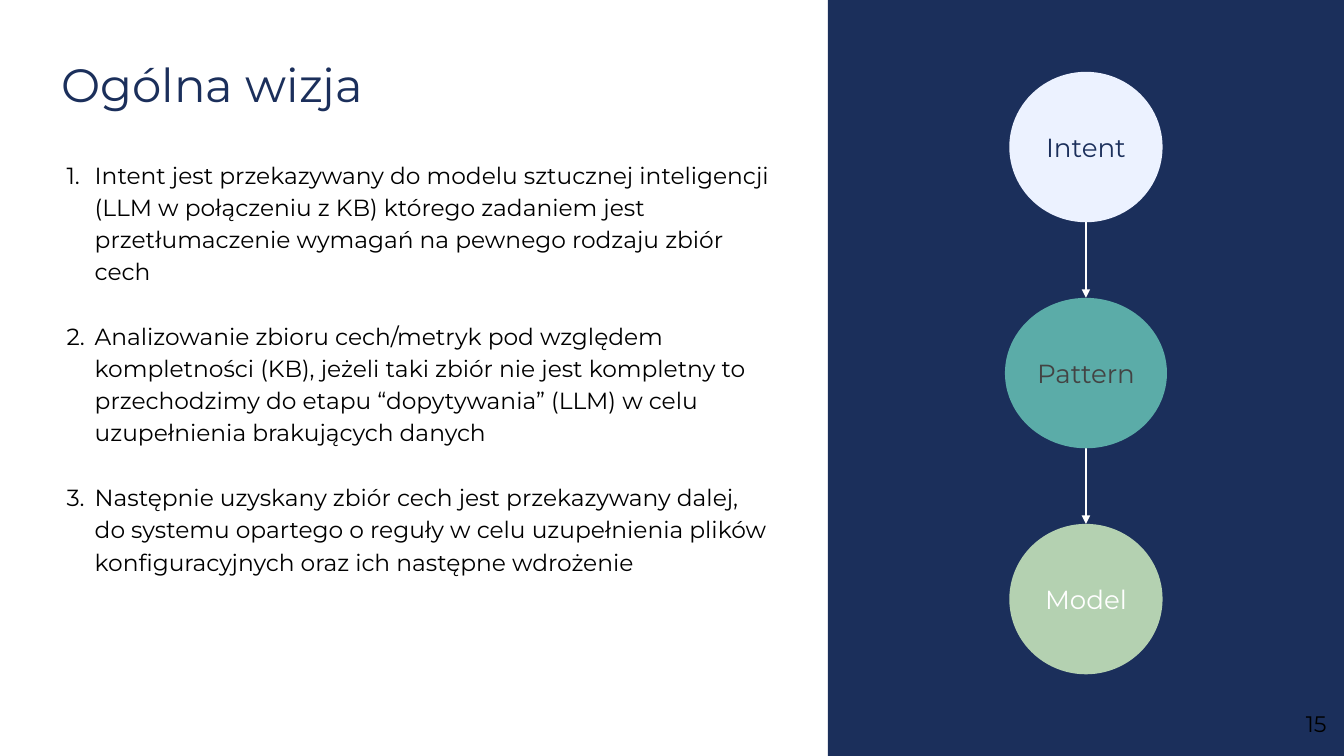
from itertools import pairwise

from lxml import etree
from pptx import Presentation
from pptx.dml.color import RGBColor
from pptx.enum import shapes, text
from pptx.oxml.ns import qn
from pptx.util import Inches, Pt

WIDTH, HEIGHT = 20, 11.25
FONT = "Montserrat"
COLORS = {
    "navy": "1B2F5B", "ice": "ECF2FF", "teal": "5BACA8", "sage": "B4D1B1",
    "white": "FFFFFF", "grey": "434343", "black": "000000",
}
STEPS = [
    "Intent jest przekazywany do modelu sztucznej inteligencji (LLM w połączeniu z KB) "
    "którego zadaniem jest przetłumaczenie wymagań na pewnego rodzaju zbiór cech",
    "Analizowanie zbioru cech/metryk pod względem kompletności (KB), jeżeli taki zbiór "
    "nie jest kompletny to przechodzimy do etapu “dopytywania” (LLM) w celu "
    "uzupełnienia brakujących danych",
    "Następnie uzyskany zbiór cech jest przekazywany dalej, do systemu opartego o reguły "
    "w celu uzupełnienia plików konfiguracyjnych oraz ich następne wdrożenie",
]
# Label, fill, text colour, width as a share of the panel
STAGES = [
    ("Intent", "ice", "navy", 0.297),
    ("Pattern", "teal", "grey", 0.314),
    ("Model", "sage", "white", 0.297),
]


def rgb(name):
    return RGBColor.from_string(COLORS[name])


def inches(*lengths):
    return [Inches(length) for length in lengths]


def style(paragraph, size, color, align=text.PP_ALIGN.LEFT, spacing=1.0):
    paragraph.alignment = align
    paragraph.line_spacing = spacing
    font = paragraph.font
    font.name, font.size = FONT, Pt(size)
    font.color.rgb = rgb(color)


def set_margins(frame, margin):
    frame.word_wrap = True
    frame.margin_left = frame.margin_right = Inches(margin)
    frame.margin_top = frame.margin_bottom = Inches(margin)


def add_text_frame(slide, box, margin=0):
    frame = slide.shapes.add_textbox(*inches(*box)).text_frame
    set_margins(frame, margin)
    return frame


def add_filled(slide, preset, box, color):
    shape = slide.shapes.add_shape(preset, *inches(*box))
    shape.shadow.inherit = False
    shape.fill.solid()
    shape.fill.fore_color.rgb = rgb(color)
    shape.line.fill.background()
    return shape


def number_paragraph(paragraph):
    props = paragraph._p.get_or_add_pPr()
    props.set("marL", str(Inches(0.5)))
    props.set("indent", str(Inches(-0.42)))
    bullet_color = etree.SubElement(props, qn("a:buClr"))
    etree.SubElement(bullet_color, qn("a:srgbClr"), val=COLORS["black"])
    etree.SubElement(props, qn("a:buFont"), typeface=FONT)
    etree.SubElement(props, qn("a:buAutoNum"), type="arabicPeriod")


def add_arrow(slide, x, top, bottom):
    arrow = slide.shapes.add_connector(
        shapes.MSO_CONNECTOR.STRAIGHT, *inches(x, top, x, bottom))
    arrow.line.color.rgb = rgb("white")
    arrow.line.width = Pt(3)
    etree.SubElement(arrow.line._get_or_add_ln(), qn("a:tailEnd"), type="triangle")
    etree.SubElement(arrow._element.spPr, qn("a:effectLst"))


def add_vision(slide, box):
    left, top, width, height = box

    # Heading
    heading = add_text_frame(slide, (left, top, width * 0.79, height * 0.16)).paragraphs[0]
    heading.text = "Ogólna wizja"
    style(heading, 50, "navy", spacing=1.1)

    # Numbered steps
    steps = add_text_frame(slide, (left, top + height * 0.174, width, height * 0.826))
    for i, step in enumerate(STEPS):
        paragraph = steps.add_paragraph() if i else steps.paragraphs[0]
        paragraph.text = step
        number_paragraph(paragraph)
        style(paragraph, 25, "black", spacing=1.15)
        if i:
            paragraph.space_before = Pt(35)


def add_flow_panel(slide, box):
    left, top, width, height = box
    add_filled(slide, shapes.MSO_SHAPE.RECTANGLE, box, "navy")

    # Circles stacked at an equal pitch on the panel's centre line
    center = left + width / 2
    diameter, pitch = height * 0.199, height * 0.299
    tops = [top + height * 0.095 + i * pitch for i in range(len(STAGES))]

    for upper, lower in pairwise(tops):
        add_arrow(slide, center, upper + diameter, lower)

    for (label, fill, color, share), y in zip(STAGES, tops):
        stage_width = width * share
        circle = add_filled(slide, shapes.MSO_SHAPE.OVAL,
                            (center - stage_width / 2, y, stage_width, diameter), fill)
        frame = circle.text_frame
        set_margins(frame, 0.1)
        frame.vertical_anchor = text.MSO_ANCHOR.MIDDLE
        frame.text = label
        style(frame.paragraphs[0], 28, color, text.PP_ALIGN.CENTER)


def add_page_number(slide, box):
    number = add_text_frame(slide, box, margin=0.18).paragraphs[0]
    number.text = "15"
    style(number, 24, "black", text.PP_ALIGN.RIGHT)


def main():
    deck = Presentation()
    deck.slide_width, deck.slide_height = inches(WIDTH, HEIGHT)
    slide = deck.slides.add_slide(deck.slide_layouts[6])

    panel_left = WIDTH * 0.616
    add_flow_panel(slide, (panel_left, 0, WIDTH - panel_left, HEIGHT))
    add_vision(slide, (0.91, 0.75, 10.58, 9.08))
    add_page_number(slide, (WIDTH * 0.936, HEIGHT - 0.86, WIDTH * 0.06, 0.86))
    deck.save("out.pptx")


if __name__ == "__main__":
    main()
